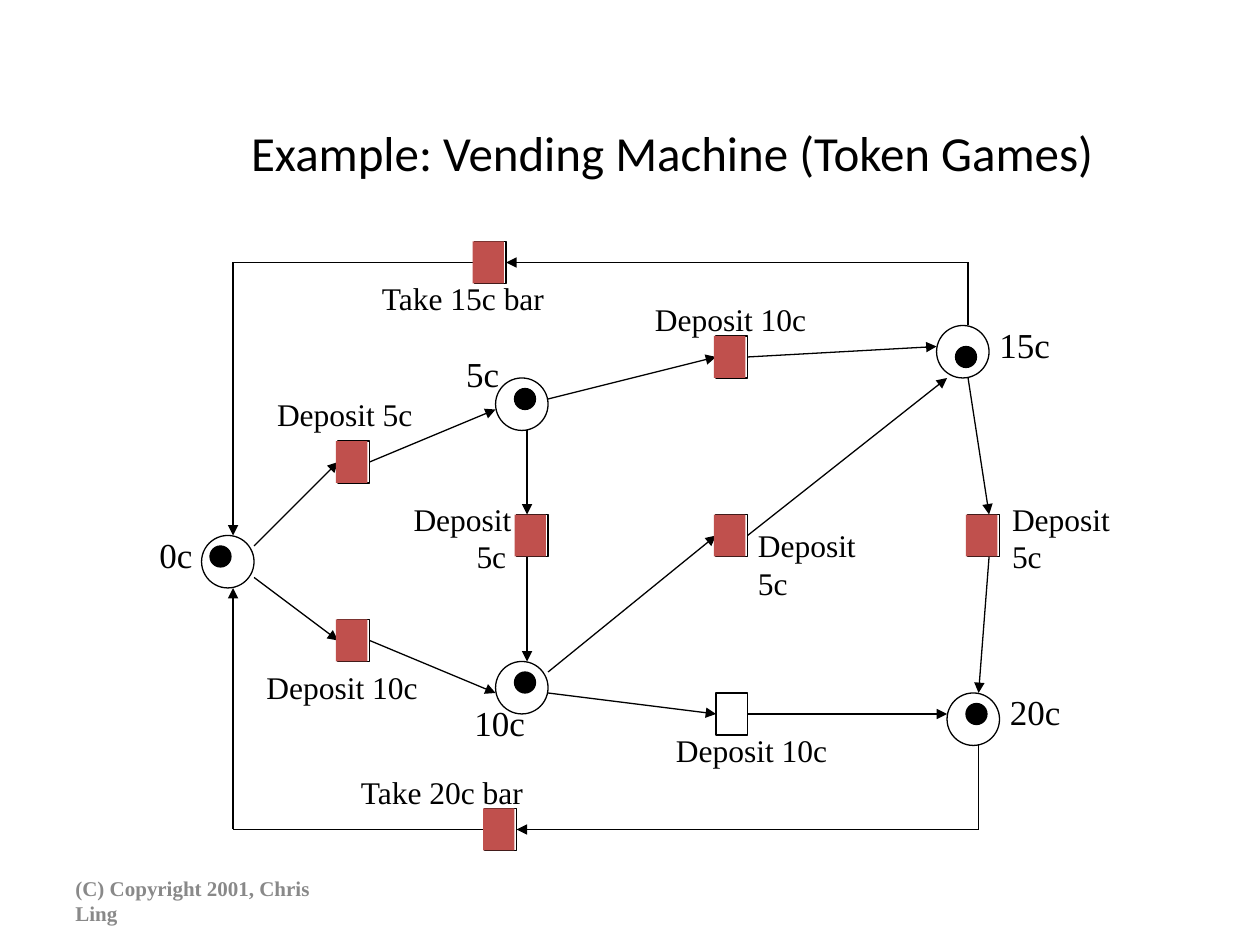
from dataclasses import dataclass

from pptx import Presentation, util as u
from pptx.dml.color import RGBColor
from pptx.enum import shapes, text
from pptx.oxml.ns import qn
from lxml import etree

PX = 7620  # EMU per px, 120 px to the inch
BLACK = RGBColor(0x00, 0x00, 0x00)
GREY = RGBColor(0x89, 0x89, 0x89)
RED = RGBColor(0xC0, 0x50, 0x4D)
SERIF = "Times New Roman"
PLACE, TOKEN = 50, 20
BAR_W, BAR_H = 30, 40
OVAL, RECT = shapes.MSO_SHAPE.OVAL, shapes.MSO_SHAPE.RECTANGLE


@dataclass
class Place:
    x: int
    y: int
    token_x: int
    token_y: int


@dataclass
class Transition:
    x: int
    y: int
    fired: bool = True


@dataclass
class Arc:
    points: list
    arrow: bool = True


@dataclass
class Label:
    text: str
    x: int
    y: int
    w: int
    size: int = 18
    indent: int = 0  # of the second line


PLACES = [
    Place(192, 510, 200, 520),  # 0c
    Place(472, 360, 490, 370),  # 5c
    Place(472, 630, 490, 640),  # 10c
    Place(892, 310, 910, 330),  # 15c
    Place(902, 660, 920, 670),  # 20c
]
TRANSITIONS = [
    Transition(322, 420), Transition(322, 590), Transition(492, 490),
    Transition(682, 320), Transition(682, 490), Transition(682, 660, False),
    Transition(922, 490), Transition(452, 230), Transition(462, 770),
]
ARCS = [
    Arc([(242, 520), (322, 440)]), Arc([(352, 440), (472, 390)]),
    Arc([(242, 550), (322, 610)]), Arc([(352, 610), (472, 660)]),
    Arc([(522, 380), (682, 340)]), Arc([(712, 340), (892, 330)]),
    Arc([(502, 410), (502, 490)]), Arc([(502, 530), (502, 630)]),
    Arc([(522, 640), (682, 510)]), Arc([(712, 510), (902, 360)]),
    Arc([(522, 660), (682, 680)]), Arc([(712, 680), (902, 680)]),
    Arc([(922, 360), (942, 490)]), Arc([(942, 530), (932, 660)]),
    # Return loops through the two "Take" transitions
    Arc([(922, 310), (922, 250), (482, 250)]),
    Arc([(452, 250), (222, 250), (222, 510)]),
    Arc([(932, 710), (932, 790), (492, 790)]),
    Arc([(462, 790), (222, 790), (222, 560)]),
]
LABELS = [
    Label("0c", 140, 502, 66, 20), Label("5c", 432, 330, 66, 20),
    Label("10c", 440, 662, 80, 20), Label("15c", 940, 302, 80, 20),
    Label("20c", 950, 652, 80, 20),
    Label("Take 15c bar", 352, 260, 190), Label("Take 20c bar", 332, 730, 190),
    Label("Deposit 5c", 252, 370, 164), Label("Deposit 10c", 242, 630, 178),
    Label("Deposit 10c", 612, 280, 178), Label("Deposit 10c", 632, 690, 178),
    Label("Deposit\n5c", 382, 470, 128, indent=60),
    Label("Deposit\n5c", 710, 495, 128), Label("Deposit\n5c", 952, 470, 128),
]


def px(*values: int) -> list:
    return [u.Emu(v * PX) for v in values]


def set_all(obj, formats: dict) -> None:
    for name, value in formats.items():
        setattr(obj, name, value)


def set_font(p, size: int, name: str = SERIF, color=BLACK, bold=False) -> None:
    set_all(p.font, {"size": u.Pt(size), "name": name, "bold": bold})
    p.font.color.rgb = color


def add_box(s, kind, x: int, y: int, w: int, h: int, fill=None, outline=True) -> None:
    sp = s.shapes.add_shape(kind, *px(x, y, w, h))
    sp.shadow.inherit = False
    if fill is None:
        sp.fill.background()
    else:
        sp.fill.solid()
        sp.fill.fore_color.rgb = fill
    if outline:
        sp.line.color.rgb = BLACK
        sp.line.width = u.Pt(0.75)
    else:
        sp.line.fill.background()


def add_arc(s, arc: Arc) -> None:
    for start, end in zip(arc.points, arc.points[1:]):
        c = s.shapes.add_connector(shapes.MSO_CONNECTOR.STRAIGHT, *px(*start, *end))
        c.line.color.rgb = BLACK
        c.line.width = u.Pt(0.75)
        if arc.arrow and end == arc.points[-1]:
            ln = c.line._get_or_add_ln()
            etree.SubElement(ln, qn("a:tailEnd"), type="triangle")
        etree.SubElement(c._element.spPr, qn("a:effectLst"))


def add_label(s, label: Label) -> None:
    lines = label.text.split("\n")
    height = 12 + 36 * len(lines)
    tf = s.shapes.add_textbox(*px(label.x, label.y, label.w, height)).text_frame
    tf.word_wrap = False
    for i, line in enumerate(lines):
        p = tf.add_paragraph() if i else tf.paragraphs[0]
        p.text = line
        if i and label.indent:
            p._p.get_or_add_pPr().set("marL", str(label.indent * PX))
        set_font(p, label.size)


def main() -> None:
    prs = Presentation()
    set_all(prs, {"slide_width": u.Inches(10), "slide_height": u.Inches(7.5)})
    s = prs.slides.add_slide(prs.slide_layouts[5])

    # Title
    title = s.shapes.title
    set_all(title, dict(zip(("left", "top", "width", "height"), px(130, 80, 1020, 130))))
    tf = title.text_frame
    tf.text = "Example: Vending Machine (Token Games)"
    set_all(tf, {"vertical_anchor": text.MSO_ANCHOR.MIDDLE, "word_wrap": True})
    tf.paragraphs[0].alignment = text.PP_ALIGN.CENTER
    set_font(tf.paragraphs[0], 28, "Calibri")

    # Footer
    tf = s.shapes.add_textbox(*px(60, 834, 280, 48)).text_frame
    tf.text = "(C) Copyright 2001, Chris Ling"
    set_all(tf, {"vertical_anchor": text.MSO_ANCHOR.MIDDLE, "word_wrap": True})
    set_font(tf.paragraphs[0], 12, color=GREY, bold=True)

    # Petri net
    for place in PLACES:
        add_box(s, OVAL, place.x, place.y, PLACE, PLACE)
    for t in TRANSITIONS:
        add_box(s, RECT, t.x, t.y, BAR_W, BAR_H)
    for arc in ARCS:
        add_arc(s, arc)
    for label in LABELS:
        add_label(s, label)

    # Fired transitions and tokens
    for t in TRANSITIONS:
        if t.fired:
            add_box(s, RECT, t.x - 2, t.y, BAR_W, BAR_H, RED, outline=False)
    for place in PLACES:
        add_box(s, OVAL, place.token_x, place.token_y, TOKEN, TOKEN, BLACK)

    prs.save("out.pptx")


if __name__ == "__main__":
    main()
